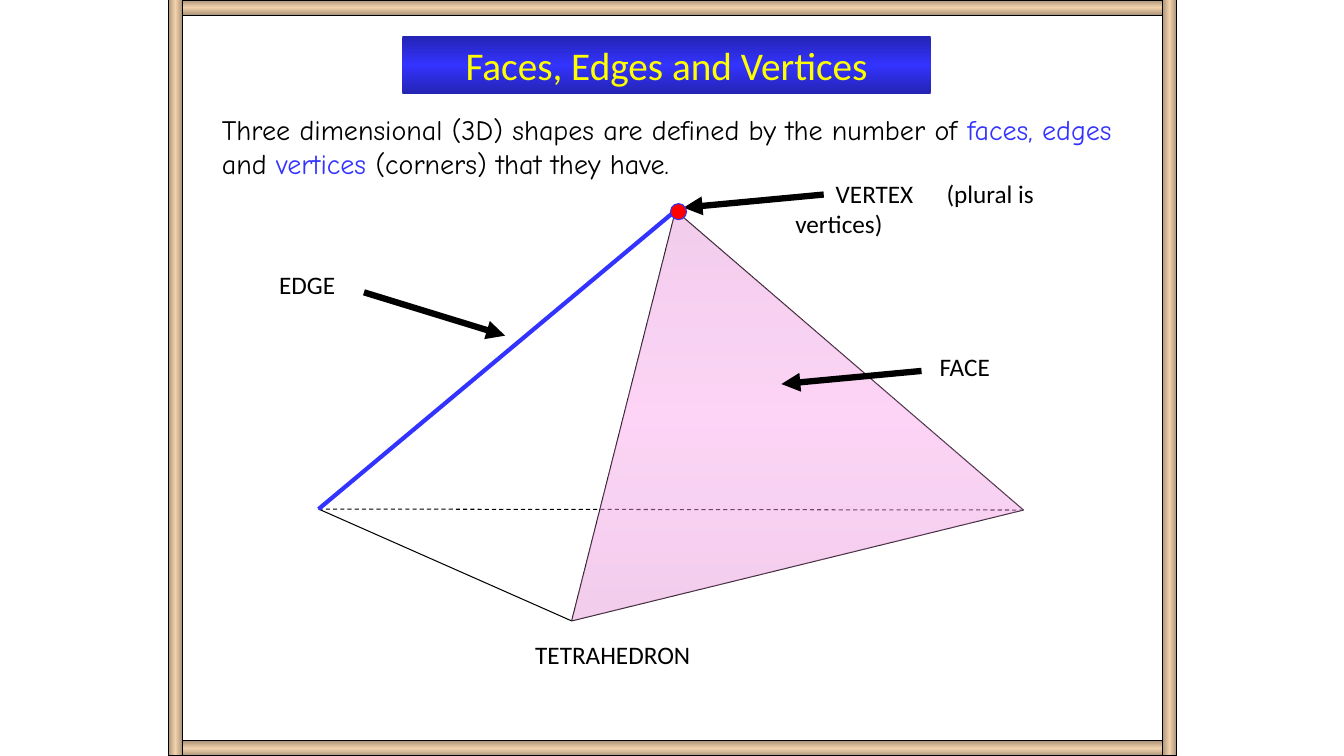
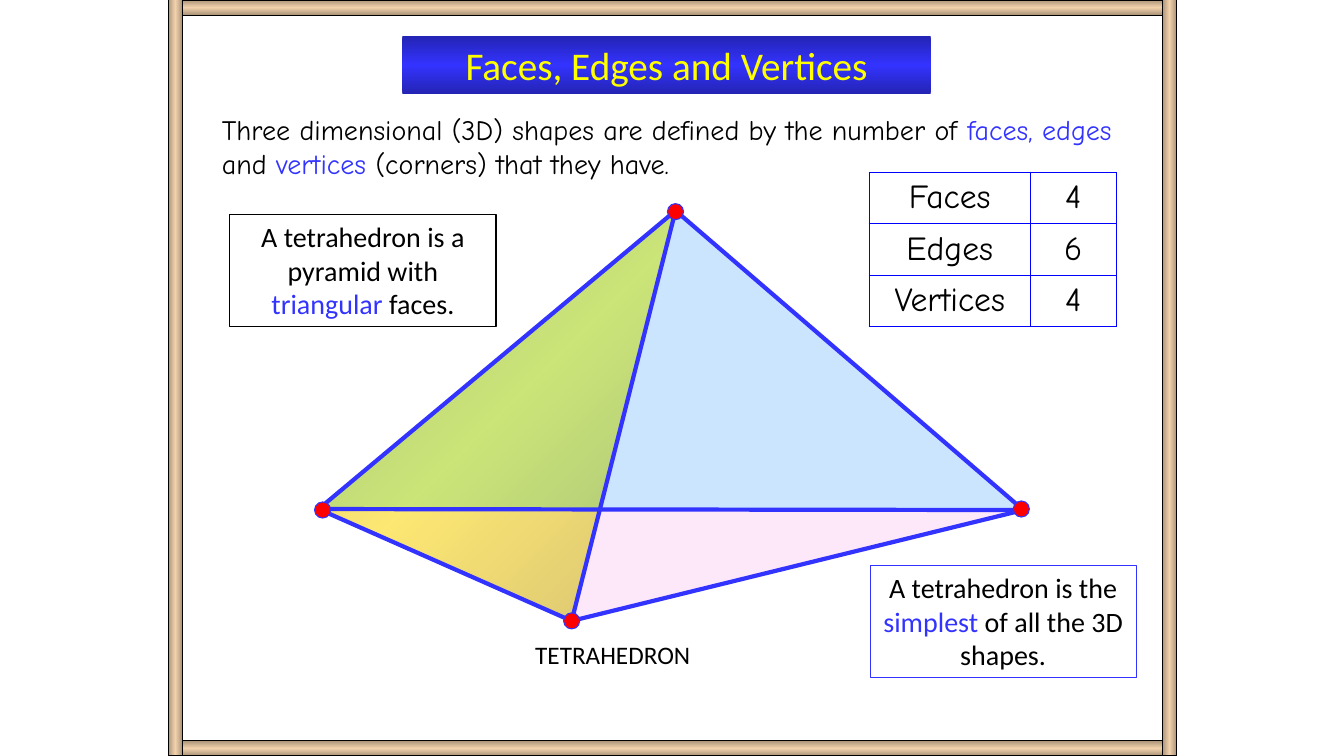
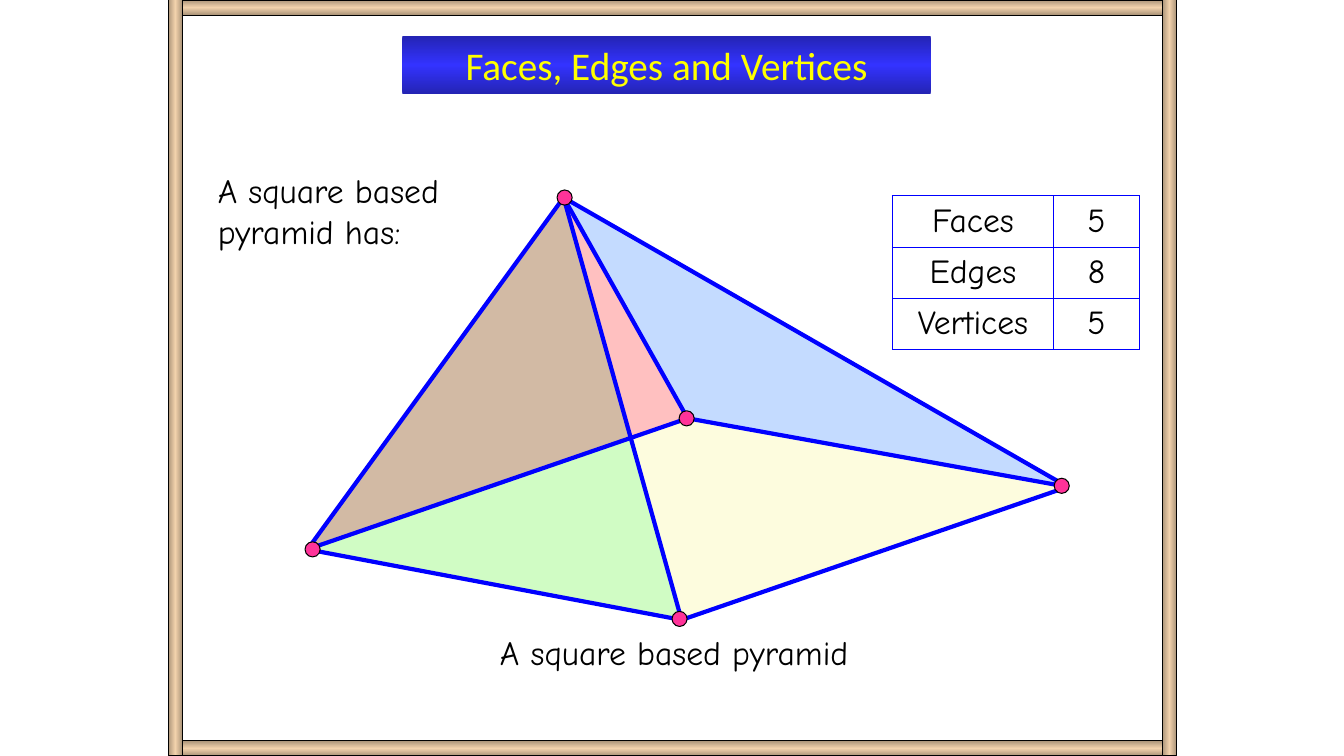
import copy

import lxml.etree
import pptx
import pptx.dml.color
import pptx.enum.dml
import pptx.enum.shapes
import pptx.enum.text
import pptx.oxml.ns
import pptx.util

Inches = pptx.util.Inches
Pt = pptx.util.Pt
RGB = pptx.dml.color.RGBColor
SHAPE = pptx.enum.shapes.MSO_SHAPE
ALIGN = pptx.enum.text.PP_ALIGN
qn = pptx.oxml.ns.qn
SubElement = lxml.etree.SubElement

# Shared colours and fonts
BLACK = RGB(0x00, 0x00, 0x00)
WHITE = RGB(0xFF, 0xFF, 0xFF)
BLUE = RGB(0x33, 0x33, 0xFF)
PURE_BLUE = RGB(0x00, 0x00, 0xFF)
NAVY = RGB(0x24, 0x24, 0xB4)
YELLOW = RGB(0xFF, 0xFF, 0x00)
OLIVE = RGB(0xB4, 0xB4, 0x00)
RED = RGB(0xFF, 0x00, 0x00)
PINK = RGB(0xFF, 0x33, 0x99)
ROSE = RGB(0xFB, 0xA3, 0xEC)
DARK_ROSE = RGB(0xE4, 0x94, 0xD6)
SKY = RGB(0x33, 0x99, 0xFF)
AZURE = RGB(0x00, 0x66, 0xFF)
CREAM = RGB(0xFA, 0xF7, 0x72)
MINT = RGB(0x99, 0xFF, 0xCC)
WOOD = RGB(0xF2, 0xD2, 0xAC)
DARK_WOOD = RGB(0xAB, 0x94, 0x79)
SANS = "Calibri"
COMIC = "Comic Neue"


def write(tf, text, size=18, font=SANS, color=BLACK, align=ALIGN.LEFT, indent=0, tab=None):
    """Write one paragraph; the parts between bars are highlighted in blue."""
    tf.word_wrap = True
    p = tf.paragraphs[0]
    pPr = p._p.get_or_add_pPr()
    pPr.set("marL", "0")
    pPr.set("indent", str(Inches(indent)))
    SubElement(pPr, qn("a:buNone"))
    if tab:
        tabs = SubElement(pPr, qn("a:tabLst"))
        SubElement(tabs, qn("a:tab"), pos=str(Inches(tab)), algn="l")
    p.alignment = align
    p.space_before = Pt(0)
    for i, part in enumerate(text.split("|")):
        r = p.add_run()
        r.text = part
        r.font.size = Pt(size)
        r.font.name = font
        r.font.color.rgb = BLUE if i % 2 else color


def paint(sp, color, edge=None, angle=90, alpha=100, line=None):
    """Fill evenly, or with a gradient that runs from edge to color and back."""
    sp.shadow.inherit = False
    if edge is None:
        sp.fill.solid()
        sp.fill.fore_color.rgb = color
    else:
        sp.fill.gradient()
        sp.fill.gradient_angle = angle
        stops = sp._element.spPr.find(".//" + qn("a:gsLst"))
        stops.insert(1, copy.deepcopy(stops[0]))
        for stop, pos, c in zip(sp.fill.gradient_stops, (0, 0.5, 1), (edge, color, edge)):
            stop.position = pos
            stop.color.rgb = c
    if alpha < 100:
        for clr in sp._element.spPr.iter(qn("a:srgbClr")):
            SubElement(clr, qn("a:alpha"), val=str(alpha * 1000))
    if line is None:
        sp.line.fill.background()
    else:
        sp.line.color.rgb = line
        sp.line.width = Pt(0.75)


# Slide content: corners are named by letter, faces and edges by their corners
TETRAHEDRON = {"A": (6.7, 2.09), "B": (3.16, 5.05), "C": (5.67, 6.16), "D": (10.15, 5.06)}
PYRAMID = {"A": (5.59, 1.96), "B": (3.05, 5.45), "C": (6.76, 6.15),
           "D": (10.59, 4.83), "E": (6.82, 4.15)}
INTRO = ("Three dimensional (3D) shapes are defined by the number of "
         "|faces, edges| and |vertices| (corners) that they have.")
INTRO_BOX = (2.1, 1.07, 9.37, 0.77)
NAME_LABEL = ("TETRAHEDRON", (5.21, 6.29, 2.55, 0.4), {}, None)
NOTE = {"size": 20, "align": ALIGN.CENTER}

SLIDES = [
    {
        "body": (INTRO, INTRO_BOX, 20),
        "corners": TETRAHEDRON,
        "thin": ["CD", "CB", "CA", "DA"],
        "dashed": ["BD"],
        "faces": [("CAD", {"color": ROSE, "edge": DARK_ROSE, "alpha": 46})],
        "thick": ["BA"],
        "edge_color": BLUE,
        "arrows": [(8.17, 1.93, 6.78, 2.06), (3.61, 2.9, 5.01, 3.33), (9.14, 3.68, 7.75, 3.81)],
        "dots": [(6.73, 2.1)],
        "dot_style": (0.16, RED, BLUE),
        "labels": [
            ("VERTEX\t(plural is vertices)", (7.79, 1.72, 3.4, 0.7),
             {"indent": 0.4, "tab": 2.5}, None),
            ("EDGE", (2.67, 2.62, 1.31, 0.4), {}, None),
            ("FACE", (9.22, 3.44, 1.31, 0.4), {}, None),
            NAME_LABEL,
        ],
        "table": None,
    },
    {
        "body": (INTRO, INTRO_BOX, 20),
        "corners": TETRAHEDRON,
        "thin": [],
        "dashed": [],
        "faces": [
            ("BCD", {"color": ROSE, "alpha": 52}),
            ("ABD", {"color": SKY, "alpha": 52}),
            ("ABC", {"color": YELLOW, "edge": OLIVE, "angle": 315, "alpha": 52}),
            ("ACD", {"color": WHITE, "alpha": 52}),
        ],
        "thick": ["AD", "AB", "AC", "BC", "CD", "BD"],
        "edge_color": BLUE,
        "arrows": [],
        "dots": [(6.7, 2.1), (3.2, 5.06), (10.13, 5.05), (5.67, 6.16)],
        "dot_style": (0.16, RED, BLUE),
        "labels": [
            ("A tetrahedron is a pyramid with |triangular| faces.",
             (2.28, 2.13, 2.64, 1.11), NOTE, BLACK),
            ("A tetrahedron is the |simplest| of all the 3D shapes.",
             (8.63, 5.61, 2.64, 1.11), NOTE, BLUE),
            NAME_LABEL,
        ],
        "table": (8.62, 1.71, (4, 6, 4)),
    },
    {
        "body": ("A square based pyramid has:", (2.06, 1.64, 2.8, 0.91), 24),
        "corners": PYRAMID,
        "thin": [],
        "dashed": [],
        "faces": [
            ("ABE", {"color": RED, "alpha": 48}),
            ("AED", {"color": AZURE, "alpha": 45}),
            ("BEDC", {"color": CREAM, "alpha": 45}),
            ("ABC", {"color": MINT, "alpha": 44}),
            ("ADC", {"color": WHITE, "alpha": 49}),
        ],
        "thick": ["AE", "EB", "ED", "AB", "AD", "AC", "BC", "CD"],
        "edge_color": PURE_BLUE,
        "arrows": [],
        "dots": [(5.6, 1.96), (6.81, 4.15), (3.1, 5.45), (6.74, 6.14), (10.53, 4.82)],
        "dot_style": (0.15, PINK, BLACK),
        "labels": [("A square based pyramid", (4.86, 6.22, 4.08, 0.5),
                    {"size": 24, "font": COMIC}, None)],
        "table": (8.85, 1.94, (5, 8, 5)),
    },
]

prs = pptx.Presentation()
prs.slide_width = Inches(13.33)
prs.slide_height = Inches(7.5)

# Title band, shared through the layout
layout = prs.slide_layouts[1]
band = layout.placeholders[0]
band.left, band.top, band.width, band.height = map(Inches, (3.99, 0.36, 5.24, 0.57))
paint(band, BLUE, NAVY)

for data in SLIDES:
    s = prs.slides.add_slide(layout)

    # Title and body
    write(s.shapes.title.text_frame, "Faces, Edges and Vertices", size=28,
          color=YELLOW, align=ALIGN.CENTER)
    s.shapes.title.text_frame.auto_size = pptx.enum.text.MSO_AUTO_SIZE.NONE
    text, box, size = data["body"]
    body = s.placeholders[1]
    body.left, body.top, body.width, body.height = map(Inches, box)
    body.text_frame.auto_size = pptx.enum.text.MSO_AUTO_SIZE.NONE
    write(body.text_frame, text, size=size, font=COMIC)

    # Lines that the faces may cover, then faces, then edges and arrows
    corners = data["corners"]
    lines = [(corners[a] + corners[b], BLACK, 0.75, kind)
             for kind in ("thin", "dashed") for a, b in data[kind]]
    covered = len(lines)
    lines += [(corners[a] + corners[b], data["edge_color"], 3, "thick")
              for a, b in data["thick"]]
    lines += [(ends, BLACK, 4.5, "arrow") for ends in data["arrows"]]
    for i in range(len(lines) + 1):
        if i == covered:
            for names, style in data["faces"]:
                points = [tuple(map(Inches, corners[n])) for n in names]
                outline = s.shapes.build_freeform(*points[0])
                outline.add_line_segments(points[1:], close=True)
                paint(outline.convert_to_shape(), **style)
        if i == len(lines):
            break
        ends, color, width, kind = lines[i]
        c = s.shapes.add_connector(pptx.enum.shapes.MSO_CONNECTOR.STRAIGHT, *map(Inches, ends))
        c.line.color.rgb = color
        c.line.width = Pt(width)
        if kind == "dashed":
            c.line.dash_style = pptx.enum.dml.MSO_LINE.DASH
        if kind == "arrow":
            SubElement(c._element.spPr.find(qn("a:ln")), qn("a:tailEnd"), type="triangle")
        SubElement(c._element.spPr, qn("a:effectLst"))

    # Vertices
    d, fill, line = data["dot_style"]
    for x, y in data["dots"]:
        dot = s.shapes.add_shape(SHAPE.OVAL, Inches(x - d / 2), Inches(y - d / 2),
                                 Inches(d), Inches(d))
        paint(dot, fill, line=line)

    # Labels and notes
    for text, box, style, border in data["labels"]:
        tb = s.shapes.add_textbox(*map(Inches, box))
        write(tb.text_frame, text, **style)
        if border is not None:
            tb.line.color.rgb = border
            tb.line.width = Pt(0.75)

    # Count table
    if data["table"]:
        x, y, counts = data["table"]
        table = s.shapes.add_table(3, 2, Inches(x), Inches(y), Inches(2.45), Inches(1.53)).table
        table.first_row = table.horz_banding = False
        table.columns[0].width, table.columns[1].width = Inches(1.6), Inches(0.85)
        for row, values in enumerate(zip(("Faces", "Edges", "Vertices"), counts)):
            for col, value in enumerate(values):
                cell = table.cell(row, col)
                write(cell.text_frame, str(value), size=24, font=COMIC, align=ALIGN.CENTER)
                cell.vertical_anchor = pptx.enum.text.MSO_ANCHOR.MIDDLE
                tcPr = cell._tc.get_or_add_tcPr()
                for side in ("a:lnL", "a:lnR", "a:lnT", "a:lnB"):
                    ln = SubElement(tcPr, qn(side), w=str(Pt(0.75)))
                    solid = SubElement(ln, qn("a:solidFill"))
                    SubElement(solid, qn("a:srgbClr"), val=str(PURE_BLUE))
                cell.fill.background()

# Wooden frame, moved to the layout so that every slide shows it
bars = []
for box, angle in [((1.67, 0, 10, 0.15), 90), ((1.67, 7.35, 10, 0.15), 90),
                   ((1.67, 0, 0.14, 7.5), 0), ((11.53, 0, 0.14, 7.5), 0)]:
    sp = s.shapes.add_shape(SHAPE.RECTANGLE, *map(Inches, box))
    paint(sp, WOOD, DARK_WOOD, angle=angle, line=BLACK)
    bars.append(sp)
for sp in bars:
    layout.shapes._spTree.append(sp._element)

prs.save("out.pptx")
